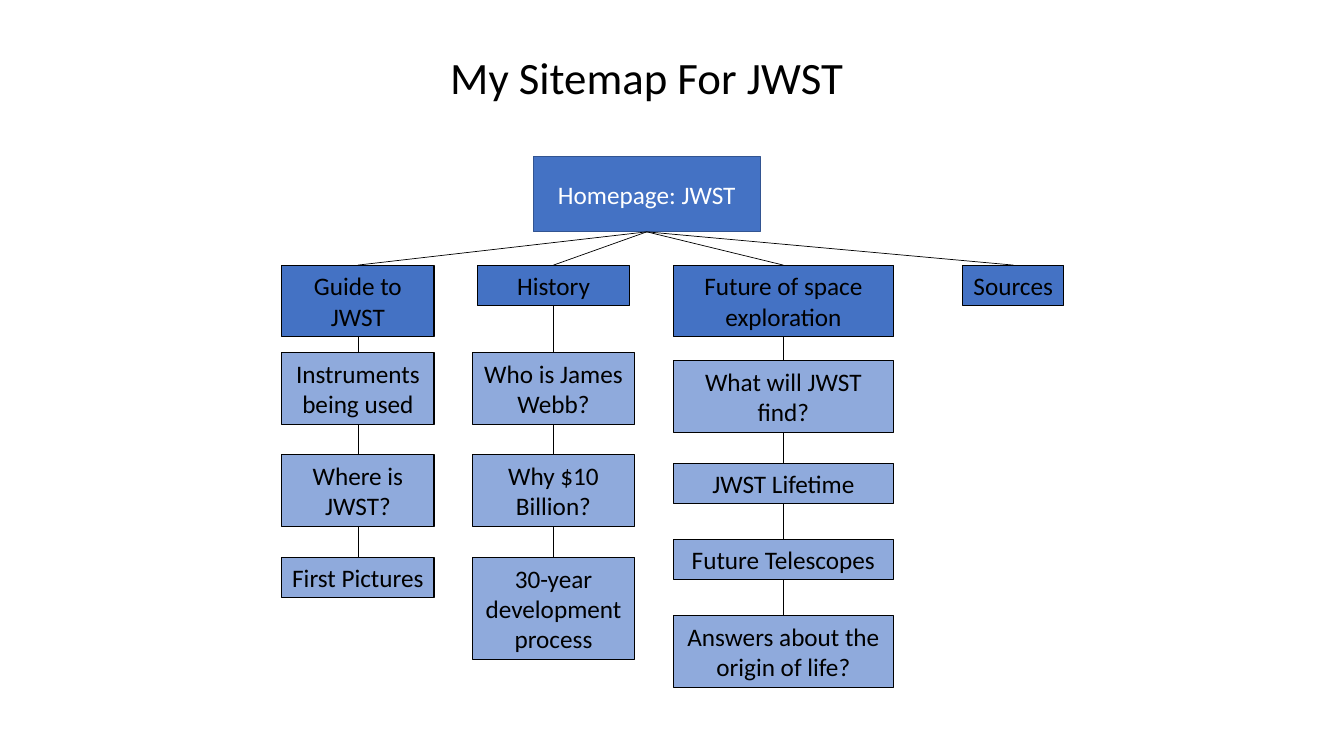
import pptx
import pptx.dml.color
import pptx.enum.shapes
import pptx.enum.text
import pptx.oxml
import pptx.oxml.ns
import pptx.util
from pptx.util import Inches

BLACK = pptx.dml.color.RGBColor(0x00, 0x00, 0x00)
WHITE = pptx.dml.color.RGBColor(0xFF, 0xFF, 0xFF)
BLUE = pptx.dml.color.RGBColor(0x44, 0x72, 0xC4)
DARK_BLUE = pptx.dml.color.RGBColor(0x32, 0x54, 0x91)
LIGHT_BLUE = pptx.dml.color.RGBColor(0x8F, 0xAA, 0xDC)

FONT = "Calibri"
HEIGHTS = {1: 0.4, 2: 0.71, 3: 1.01}  # box height by number of text lines
SECTION_TOP = 2.63
HOMEPAGE = (5.29, 1.55, 2.25, 0.75)

# Section: centre, width, name, lines, page width, pages as (top, name, lines)
SECTIONS = [
    (3.55, 1.51, "Guide to JWST", 2, 1.51, [
        (3.5, "Instruments being used", 2),
        (4.51, "Where is JWST?", 2),
        (5.53, "First Pictures", 1)]),
    (5.49, 1.51, "History", 1, 1.61, [
        (3.5, "Who is James Webb?", 2),
        (4.51, "Why $10 Billion?", 2),
        (5.53, "30-year development process", 3)]),
    (7.77, 2.19, "Future of space exploration", 2, 2.18, [
        (3.58, "What will JWST find?", 2),
        (4.6, "JWST Lifetime", 1),
        (5.35, "Future Telescopes", 1),
        (6.11, "Answers about the origin of life?", 2)]),
    (10.05, 1.0, "Sources", 1, 1.0, []),
]


def write_text(shape, text, size, color):
    """Write one centred run into a shape."""
    frame = shape.text_frame
    frame.word_wrap = True
    frame.auto_size = pptx.enum.text.MSO_AUTO_SIZE.NONE
    frame.vertical_anchor = pptx.enum.text.MSO_ANCHOR.MIDDLE
    paragraph = frame.paragraphs[0]
    paragraph.alignment = pptx.enum.text.PP_ALIGN.CENTER
    run = paragraph.add_run()
    run.text = text
    run.font.name = FONT
    run.font.size = pptx.util.Pt(size)
    run.font.color.rgb = color


def add_box(slide, box, text, fill, color=BLACK, line=BLACK, line_width=0.75):
    """Add a labelled rectangle at box (left, top, width, height)."""
    shape = slide.shapes.add_shape(
        pptx.enum.shapes.MSO_SHAPE.RECTANGLE, *map(Inches, box))
    shape.shadow.inherit = False
    shape.fill.solid()
    shape.fill.fore_color.rgb = fill
    shape.line.color.rgb = line
    shape.line.width = pptx.util.Pt(line_width)
    write_text(shape, text, 18, color)
    return shape


def connect(slide, upper, lower):
    """Join the bottom of one box to the top of another."""
    connector = slide.shapes.add_connector(
        pptx.enum.shapes.MSO_CONNECTOR.STRAIGHT, 0, 0, 0, 0)
    connector.begin_connect(upper, 2)
    connector.end_connect(lower, 0)
    connector.line.color.rgb = BLACK
    connector.line.width = pptx.util.Pt(0.5)
    properties = connector._element.spPr
    properties.append(pptx.oxml.parse_xml(
        "<a:effectLst %s/>" % pptx.oxml.ns.nsdecls("a")))


def add_title(slide, box):
    """Place and fill the title placeholder."""
    title = slide.shapes.title
    title.left, title.top, title.width, title.height = map(Inches, box)
    write_text(title, "My Sitemap For JWST", 32, BLACK)


def add_section(slide, homepage, top, section):
    """Add a section box under the homepage and the chain of its pages."""
    center, width, name, lines, page_width, pages = section
    upper = add_box(
        slide, (center - width / 2, top, width, HEIGHTS[lines]), name, BLUE)
    connect(slide, homepage, upper)
    for page_top, page_name, page_lines in pages:
        box = (center - page_width / 2, page_top,
               page_width, HEIGHTS[page_lines])
        page = add_box(slide, box, page_name, LIGHT_BLUE)
        connect(slide, upper, page)
        upper = page


def build_sitemap(presentation):
    """Build the sitemap slide."""
    slide = presentation.slides.add_slide(presentation.slide_layouts[5])
    add_title(slide, (2.54, 0.44, 7.75, 0.64))
    homepage = add_box(slide, HOMEPAGE, "Homepage: JWST", BLUE,
                       WHITE, DARK_BLUE, 1)
    for section in SECTIONS:
        add_section(slide, homepage, SECTION_TOP, section)


presentation = pptx.Presentation()
presentation.slide_width = Inches(13.33)
presentation.slide_height = Inches(7.5)
build_sitemap(presentation)
presentation.save("out.pptx")
